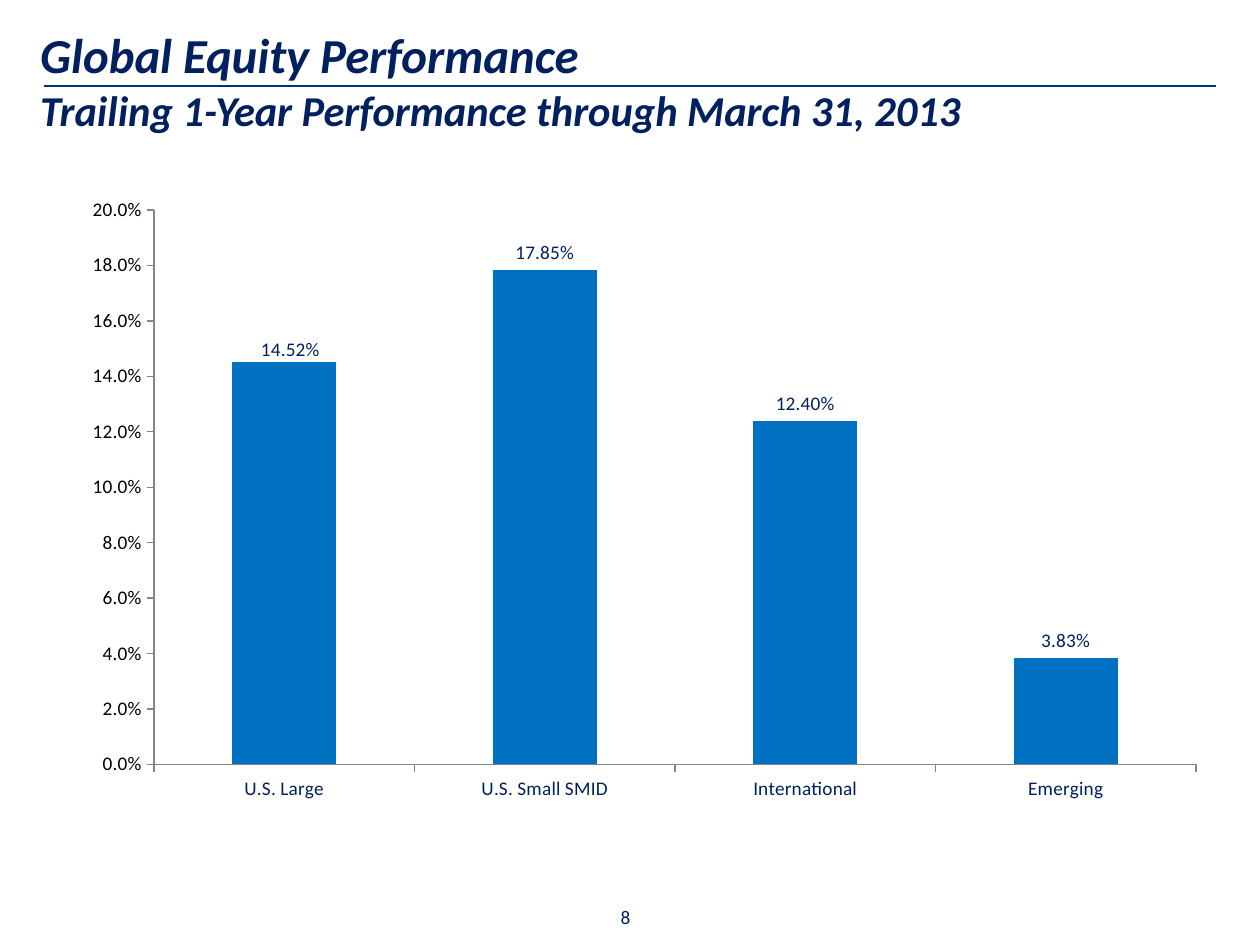
from dataclasses import dataclass

from lxml.etree import SubElement
from pptx import Presentation
from pptx.chart.data import CategoryChartData
from pptx.dml.color import RGBColor
from pptx.enum.chart import XL_CHART_TYPE as ChartType
from pptx.enum.chart import XL_LABEL_POSITION as LabelPosition
from pptx.enum.chart import XL_TICK_MARK as TickMark
from pptx.enum.shapes import MSO_CONNECTOR as Connector
from pptx.enum.text import MSO_ANCHOR as Anchor
from pptx.enum.text import MSO_AUTO_SIZE as AutoSize
from pptx.enum.text import PP_ALIGN as Align
from pptx.oxml import parse_xml
from pptx.oxml.ns import nsdecls, qn
from pptx.util import Pt

# Content
TITLE = "Global Equity Performance"
SUBTITLE = "Trailing 1-Year Performance through March 31, 2013"
PAGE_NUMBER = "8"
SERIES_NAME = "Series 1"
RETURNS = {
    "U.S. Large": 0.1452,
    "U.S. Small SMID": 0.1785,
    "International": 0.1240,
    "Emerging": 0.0383,
}

# Places: left, top, width, height in points
SLIDE_SIZE = (720, 540)
TITLE_BOX = (23, 32.4, 699, 44.6)
CHART_BOX = (18, 100, 700.5, 401)
PAGE_BOX = (342, 514, 31, 21)
RULE_LEFT, RULE_RIGHT, RULE_TOP = 25, 695, 49

# Fractions of the chart area
PLOT_AREA = {"x": 0.1, "y": 0.05, "w": 0.85, "h": 0.79}
FIRST_LABEL_SHIFT = {"x": 0.005, "y": 0.007}


@dataclass(frozen=True)
class Theme:
    font: str = "Calibri"
    navy: str = "002060"
    rule: str = "003082"
    bar: str = "0070C0"
    black: str = "000000"
    axis: str = "868686"
    title_size: float = 27.9
    subtitle_size: float = 24.3
    small_size: float = 11


THEME = Theme()


def color(value):
    return RGBColor.from_string(value)


def points(box):
    return [Pt(value) for value in box]


def format_font(font, size=THEME.small_size, fill=THEME.navy, bold=False, italic=False):
    font.name, font.size = THEME.font, Pt(size)
    font.bold, font.italic = bold, italic
    font.color.rgb = color(fill)


def add_text(paragraph, text, align=Align.LEFT, **font_format):
    paragraph.alignment = align
    run = paragraph.add_run()
    run.text = text
    format_font(run.font, **font_format)


def set_frame(frame, margin, anchor, auto_size):
    frame.margin_left = frame.margin_right = Pt(margin)
    frame.margin_top = frame.margin_bottom = Pt(margin)
    frame.vertical_anchor = anchor
    frame.word_wrap = True
    frame.auto_size = auto_size


def manual_layout(values, inner=False):
    layout = parse_xml(f"<c:layout {nsdecls('c')}><c:manualLayout/></c:layout>")
    manual = layout[0]
    if inner:
        SubElement(manual, qn("c:layoutTarget")).set("val", "inner")
        for mode in ("xMode", "yMode"):
            SubElement(manual, qn(f"c:{mode}")).set("val", "edge")
    for name, value in values.items():
        SubElement(manual, qn(f"c:{name}")).set("val", str(value))
    return layout


def add_title(slide):
    title = slide.shapes.title
    title.left, title.top, title.width, title.height = points(TITLE_BOX)
    set_frame(title.text_frame, 0, Anchor.BOTTOM, AutoSize.NONE)
    paragraph = title.text_frame.paragraphs[0]
    paragraph.line_spacing = 1.0
    paragraph.space_before = Pt(0)
    add_text(paragraph, TITLE, size=THEME.title_size, bold=True, italic=True)
    paragraph.add_line_break()
    add_text(paragraph, SUBTITLE, size=THEME.subtitle_size, bold=True, italic=True)


def add_rule(slide):
    rule = slide.shapes.add_connector(
        Connector.STRAIGHT, *points((RULE_LEFT, RULE_TOP, RULE_RIGHT, RULE_TOP)))
    rule.line.color.rgb = color(THEME.rule)
    rule.line.width = Pt(1)
    SubElement(rule._element.spPr, qn("a:effectLst"))


def add_page_number(slide):
    frame = slide.shapes.add_textbox(*points(PAGE_BOX)).text_frame
    set_frame(frame, 3.6, Anchor.TOP, AutoSize.SHAPE_TO_FIT_TEXT)
    add_text(frame.paragraphs[0], PAGE_NUMBER, align=Align.CENTER)


def format_axis(axis, fill):
    axis.has_major_gridlines = False
    axis.major_tick_mark, axis.minor_tick_mark = TickMark.OUTSIDE, TickMark.NONE
    axis.format.line.color.rgb = color(THEME.axis)
    axis.format.line.width = Pt(0.75)
    format_font(axis.tick_labels.font, fill=fill)


def add_chart(slide):
    data = CategoryChartData(number_format="0.00%")
    data.categories = list(RETURNS)
    data.add_series(SERIES_NAME, list(RETURNS.values()))
    chart = slide.shapes.add_chart(
        ChartType.COLUMN_CLUSTERED, *points(CHART_BOX), data).chart
    chart.has_legend = chart.has_title = False
    format_font(chart.font, fill=THEME.black)

    # Axes
    format_axis(chart.category_axis, THEME.navy)
    format_axis(chart.value_axis, THEME.black)
    axis = chart.value_axis
    axis.minimum_scale, axis.maximum_scale, axis.major_unit = 0, 0.2, 0.02
    axis.tick_labels.number_format = "0.0%"
    axis.tick_labels.number_format_is_linked = False

    # Bars and labels
    plot = chart.plots[0]
    plot.gap_width, plot.vary_by_categories = 150, False
    series = plot.series[0]
    series.format.fill.solid()
    series.format.fill.fore_color.rgb = color(THEME.bar)
    labels = series.data_labels
    labels.show_value = True
    labels.number_format, labels.number_format_is_linked = "0.00%", False
    labels.position = LabelPosition.OUTSIDE_END
    format_font(labels.font)

    # The first label sits a little closer to its bar
    first_label = series.points[0].data_label
    first_label.position = LabelPosition.OUTSIDE_END
    format_font(first_label.font)
    label_element = series._element.find(f".//{qn('c:dLbl')}")
    label_element.insert(1, manual_layout(FIRST_LABEL_SHIFT))
    label_element.insert(2, parse_xml(
        f'<c:numFmt {nsdecls("c")} formatCode="0.00%" sourceLinked="0"/>'))

    # Plot area
    plot_area = chart._chartSpace.chart.plotArea
    for layout in plot_area.findall(qn("c:layout")):
        plot_area.remove(layout)
    plot_area.insert(0, manual_layout(PLOT_AREA, inner=True))


def main():
    presentation = Presentation()
    presentation.slide_width, presentation.slide_height = points(SLIDE_SIZE)
    slide = presentation.slides.add_slide(presentation.slide_layouts[5])
    add_rule(slide)
    add_page_number(slide)
    add_chart(slide)
    add_title(slide)
    presentation.save("out.pptx")


if __name__ == "__main__":
    main()
